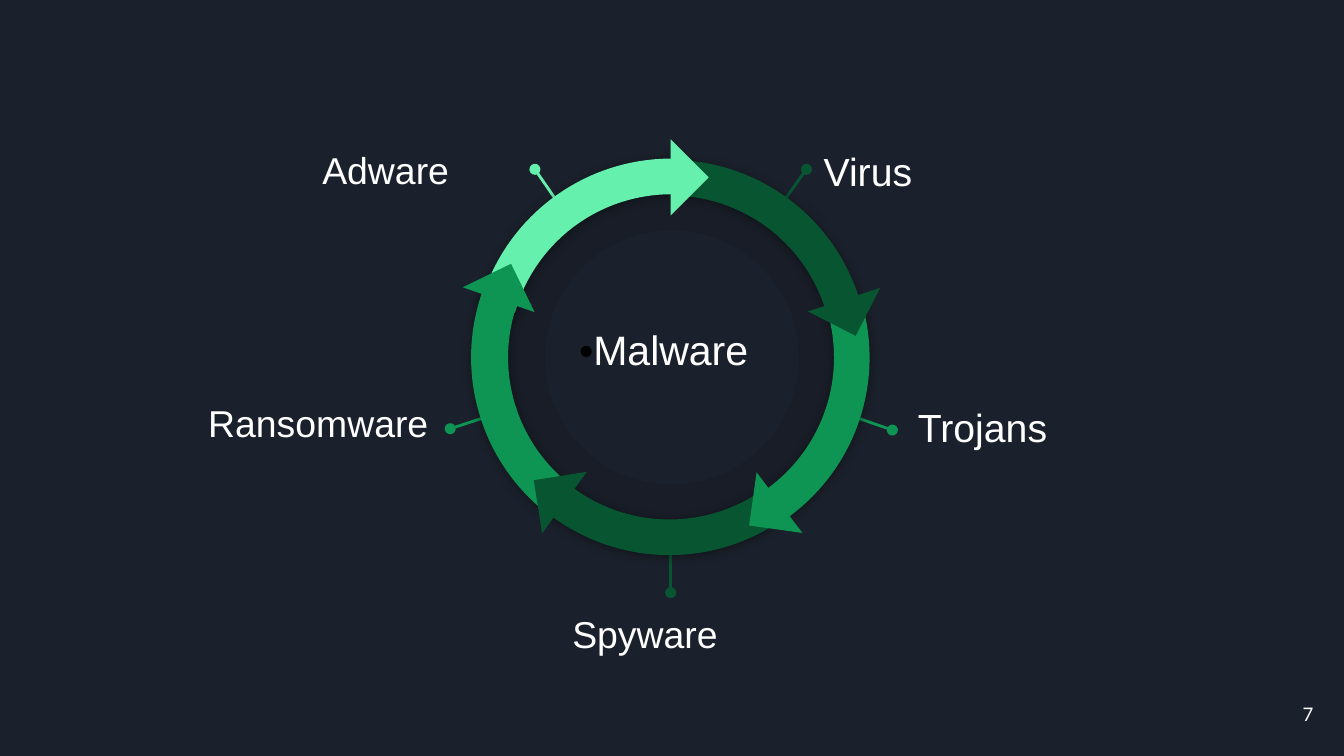
"""Build the malware types cycle slide."""
import pptx
import pptx.util
import pptx.dml.color
import pptx.enum.shapes
import pptx.enum.text
import pptx.oxml
import pptx.oxml.ns

Inches, Pt = pptx.util.Inches, pptx.util.Pt
RGB = pptx.dml.color.RGBColor
KIND = pptx.enum.shapes.MSO_SHAPE
LINK = pptx.enum.shapes.MSO_CONNECTOR
ANCHOR = pptx.enum.text.MSO_ANCHOR
ALIGN = pptx.enum.text.PP_ALIGN
qn = pptx.oxml.ns.qn

NIGHT = RGB(0x1B, 0x21, 0x2C)
WHITE = RGB(0xFF, 0xFF, 0xFF)
BLACK = RGB(0, 0, 0)
DARK = RGB(0x08, 0x56, 0x31)
GREEN = RGB(0x0E, 0x94, 0x53)
MINT = RGB(0x65, 0xF0, 0xAD)

# name, size, box, left inset, pin start, pin end, colour
LABELS = [
    ("Virus", 21, (6.03, 0.93, 1.64, 0.73), 0.1, (6, 1.26), (5.7, 1.68), DARK),
    ("Adware", 20, (2.3, 0.93, 1.64, 0.73), 0.1, (3.98, 1.26), (4.27, 1.68), MINT),
    ("Trojans", 21, (6.65, 2.83, 1.64, 0.73), 0.18, (6.64, 3.2), (6.15, 3.03), GREEN),
    ("Ransomware", 20, (1.45, 2.81, 1.88, 0.73), 0.1, (3.35, 3.19), (3.84, 3.03), GREEN),
    ("Spyware", 20, (4.16, 4.38, 1.64, 0.73), 0.1, (4.99, 4.41), (4.99, 3.87), DARK),
]
# left, top, size, turn, flipped, (start, end, thickness), colour, outlined
ARCS = [
    (3.52, 1.19, 2.94, 30, False, (144.14, 189.99, 0.09), DARK, False),
    (3.53, 1.19, 2.94, 210, True, (201.79, 26.24, 0.09), GREEN, False),
    (3.52, 1.18, 2.95, 330, True, (143.34, 188.55, 0.09), MINT, False),
    (3.51, 1.19, 2.94, 150, False, (201.85, 30.07, 0.09), GREEN, True),
    (3.51, 1.19, 2.94, 210, True, (157.39, 200.08, 0.09), DARK, False),
]
# left, top, turn, colour
TIPS = [
    (6.08, 2.03, 297, DARK),
    (3.51, 2.03, 154, GREEN),
    (5.6, 3.54, 7.9, GREEN),
    (4, 3.54, 81, DARK),
    (4.79, 1.12, 225, MINT),
]
SHADE = (
    '<a:outerShdw xmlns:a="http://schemas.openxmlformats.org/drawingml/2006/main" '
    'blurRad="71120" dist="10160" dir="5400000" rotWithShape="0">'
    '<a:srgbClr val="000000"><a:alpha val="40000"/></a:srgbClr></a:outerShdw>'
)


def add_shape(kind, box, color, turn=0):
    shape = slide.shapes.add_shape(kind, *map(Inches, box))
    shape.shadow.inherit = False
    shape.fill.solid()
    shape.fill.fore_color.rgb = color
    shape.line.fill.background()
    shape.rotation = turn
    return shape


def add_text(shapes, box, runs, size, face="Arial", left=0.1, bottom=0.1):
    frame = shapes.add_textbox(*map(Inches, box)).text_frame
    frame.word_wrap = True
    frame.margin_left, frame.margin_bottom = Inches(left), Inches(bottom)
    frame.margin_top = frame.margin_right = Inches(0.1)
    para = frame.paragraphs[0]
    para.font.size, para.font.name = Pt(size), face
    for text, color in runs:
        run = para.add_run()
        run.text = text
        run.font.color.rgb = color
    return frame, para


def add_pin(shapes, start, end, color):
    pin = shapes.add_connector(LINK.STRAIGHT, *map(Inches, start + end))
    pin.line.color.rgb = color
    pin.line.width = Pt(1.5)
    props = pin.element.spPr
    line = props.find(qn("a:ln"))
    line.append(line.makeelement(qn("a:headEnd"), {"type": "oval"}))
    props.append(props.makeelement(qn("a:effectLst"), {}))


deck = pptx.Presentation()
deck.slide_width = Inches(10)
deck.slide_height = deck.slide_width * 9 // 16
slide = deck.slides.add_slide(deck.slide_layouts[6])
slide.background.fill.solid()
slide.background.fill.fore_color.rgb = NIGHT

frame, para = add_text(slide.shapes, (9.27, 5.1, 0.6, 0.43), [("7", WHITE)], 10, "Lato")
frame.vertical_anchor = ANCHOR.MIDDLE
para.alignment = ALIGN.RIGHT

ring = add_shape(KIND.DONUT, (3.61, 1.27, 2.78, 2.78), BLACK)
ring.adjustments[0] = 0.16
tint = ring.element.spPr.find(qn("a:solidFill"))[0]
tint.append(tint.makeelement(qn("a:alpha"), {"val": "11000"}))

for name, size, box, left, start, end, color in LABELS:
    group = slide.shapes.add_group_shape()
    add_pin(group.shapes, start, end, color)
    frame, para = add_text(group.shapes, box, [(name, WHITE)], size, left=left)
    para.line_spacing, para.space_before = 1.2, Pt(5)

for left, top, size, turn, flip, sweep, color, edge in ARCS:
    arc = add_shape(KIND.BLOCK_ARC, (left, top, size, size), color, turn)
    for i, value in enumerate(sweep):
        arc.adjustments[i] = value
    props = arc.element.spPr
    if flip:
        props.find(qn("a:xfrm")).set("flipH", "1")
    if edge:
        arc.line.color.rgb = color
        arc.line.width = Pt(0.75)
    props.find(qn("a:effectLst")).append(pptx.oxml.parse_xml(SHADE))

for left, top, turn, color in TIPS:
    add_shape(KIND.RIGHT_TRIANGLE, (left, top, 0.4, 0.4), color, turn)

hub = [("•", BLACK), ("Malware", WHITE)]
frame, para = add_text(slide.shapes, (4.21, 2.25, 1.58, 0.88), hub, 22, bottom=0.36)
frame.vertical_anchor = ANCHOR.MIDDLE
para.line_spacing, para.space_before = 1.2, Pt(10)

deck.save("out.pptx")
